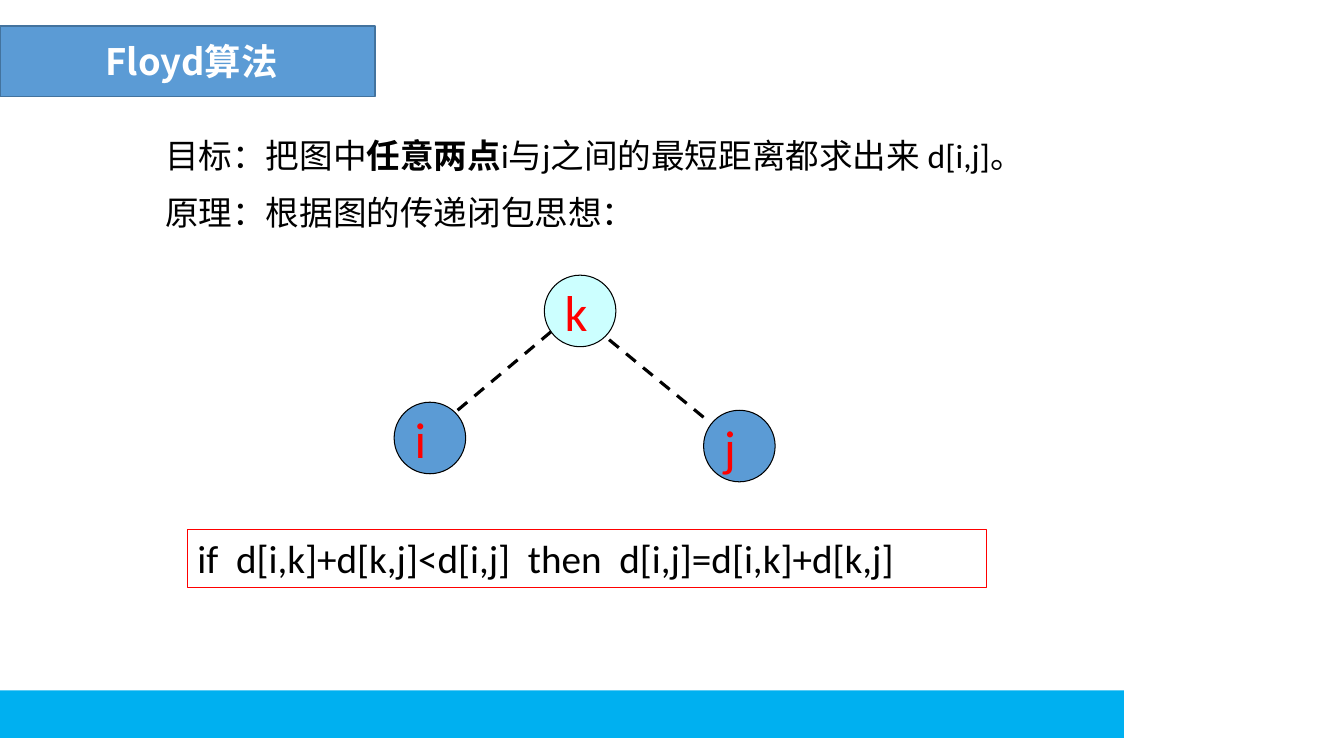
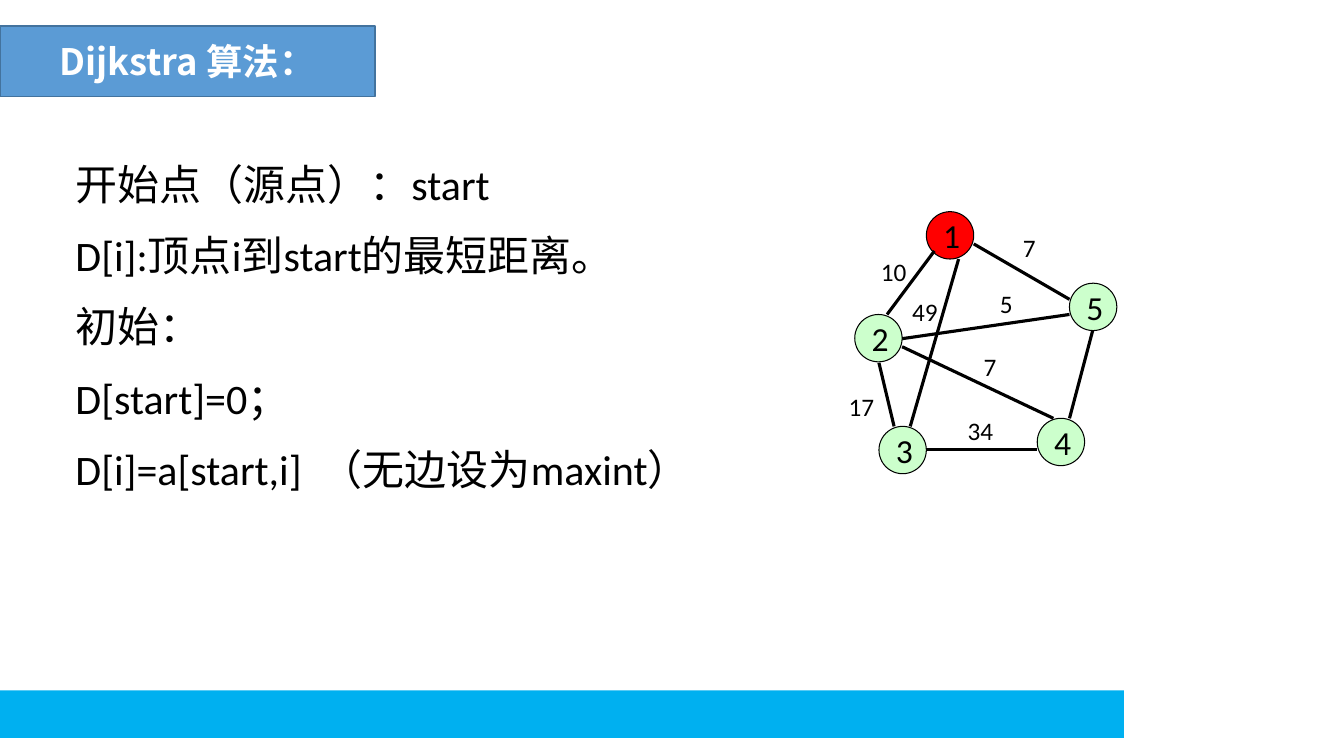
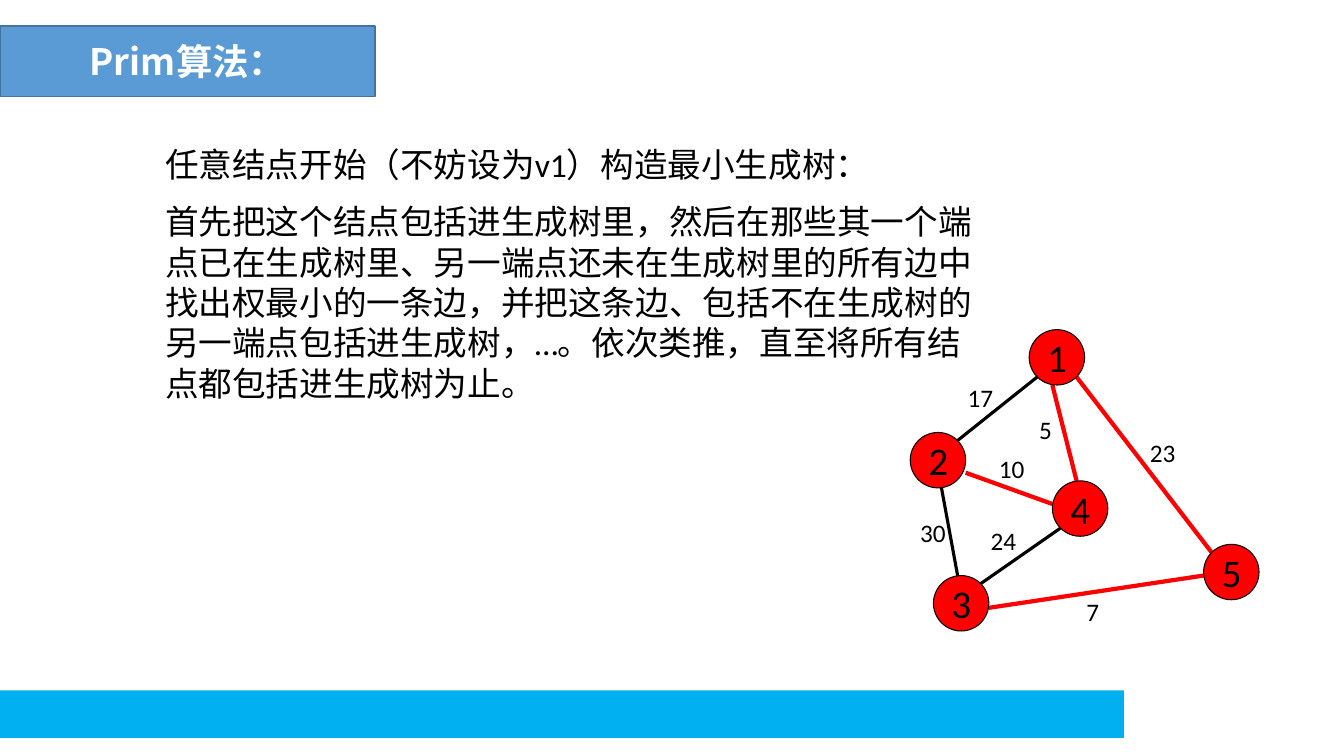
from lxml.etree import SubElement
from pptx import Presentation
from pptx.dml.color import RGBColor
from pptx.enum.dml import MSO_LINE
from pptx.enum.shapes import MSO_CONNECTOR, MSO_SHAPE
from pptx.enum.text import MSO_ANCHOR, PP_ALIGN
from pptx.oxml.ns import qn
from pptx.util import Inches, Pt

COLORS = {
    "blue": "5B9BD5", "navy": "43739E", "band": "00B0F0", "red": "FF0000",
    "black": "000000", "white": "FFFFFF", "aqua": "CCFFFF", "green": "CCFFCC",
}
BODY_FONT, TITLE_FONT = "Calibri", "Noto Sans CJK SC"


def color(name):
    return RGBColor.from_string(COLORS[name])


def cells(*counts):
    return [Inches(count / 10) for count in counts]


class Board:
    """Style and current slide, on a grid of tenth-inch columns and rows."""

    def __init__(self):
        self.deck = Presentation()
        self.deck.slide_width, self.deck.slide_height = cells(133.33, 75)
        self.page = None

    def new_page(self, title):
        self.page = self.deck.slides.add_slide(self.deck.slide_layouts[6])
        self.shape(MSO_SHAPE.RECTANGLE, (0, 68.5, 111.5, 4.7), "band")
        box = self.shape(MSO_SHAPE.RECTANGLE, (0, 2.6, 37.2, 7), "blue", "navy", 1)
        box.text_frame.vertical_anchor = MSO_ANCHOR.MIDDLE
        para = box.text_frame.paragraphs[0]
        para.alignment = PP_ALIGN.CENTER
        self.span(para, title, 26, "white", True, TITLE_FONT)

    def shape(self, kind, area, fill=None, line=None, weight=0.75):
        shape = self.page.shapes.add_shape(kind, *cells(*area))
        shape.shadow.inherit = False
        if fill:
            shape.fill.solid()
            shape.fill.fore_color.rgb = color(fill)
        else:
            shape.fill.background()
        if line:
            shape.line.color.rgb = color(line)
            shape.line.width = Pt(weight)
        else:
            shape.line.fill.background()
        return shape

    def span(self, para, text, size, ink="black", bold=False, font=BODY_FONT):
        span = para.add_run()
        span.text = text
        span.font.size = Pt(size)
        span.font.bold = bold
        span.font.color.rgb = color(ink)
        span.font.name = font
        SubElement(span.font._element, qn("a:ea"), typeface=font)

    def text(self, area, size, *lines):
        frame = self.page.shapes.add_textbox(*cells(*area)).text_frame
        frame.word_wrap = True
        for index, line in enumerate(lines):
            para = frame.add_paragraph() if index else frame.paragraphs[0]
            if index:
                para.space_before = Pt(size / 2)
            for part, text in enumerate([line] if isinstance(line, str) else line):
                self.span(para, text, size, bold=part % 2 == 1)

    def framed(self, area, text, size):
        box = self.shape(MSO_SHAPE.RECTANGLE, area, line="red")
        box.text_frame.vertical_anchor = MSO_ANCHOR.TOP
        para = box.text_frame.paragraphs[0]
        para.alignment = PP_ALIGN.LEFT
        self.span(para, text, size)

    def node(self, name, left, top, side, size, fill, ink="black"):
        circle = self.shape(MSO_SHAPE.OVAL, (left, top, side, side), fill, "black")
        frame = circle.text_frame
        frame.word_wrap = False
        frame.vertical_anchor = MSO_ANCHOR.MIDDLE
        frame.paragraphs[0].alignment = PP_ALIGN.LEFT
        self.span(frame.paragraphs[0], name, size, ink)

    def edge(self, ends, ink="black", weight=2.25, dash=None):
        edge = self.page.shapes.add_connector(MSO_CONNECTOR.STRAIGHT, *cells(*ends))
        edge.line.color.rgb = color(ink)
        edge.line.width = Pt(weight)
        if dash:
            edge.line.dash_style = dash
        SubElement(edge._element.spPr, qn("a:effectLst"))

    def label(self, text, left, top, width=5.5):
        self.text((left, top, width, 4.3), 18, text)


def floyd(board):
    board.new_page(" Floyd算法")
    board.text((15.4, 12.9, 91, 11.1), 24,
               ("目标：把图中", "任意两点", "i与j之间的最短距离都求出来 d[i,j]。"),
               "原理：根据图的传递闭包思想：")
    for name, left, top, fill in (("i", 39.1, 39.9, "blue"), ("j", 69.8, 40.7, "blue"),
                                  ("k", 54, 27.3, "aqua")):
        board.node(name, left, top, 7.1, 36, fill, "red")
    for ends in ((45.4, 40.7, 54.8, 32.8), (69.8, 41.4, 60.3, 33.6)):
        board.edge(ends, dash=MSO_LINE.DASH)
    board.framed((18.6, 52.5, 79.3, 5.8),
                 "if  d[i,k]+d[k,j]<d[i,j]  then  d[i,j]=d[i,k]+d[k,j]", 28)


def dijkstra(board):
    board.new_page("Dijkstra 算法：")
    board.text((6.5, 15.2, 66.9, 36.4), 30,
               "开始点（源点）：start", "D[i]:顶点i到start的最短距离。", "初始：",
               "D[start]=0；", "D[i]=a[start,i]  （无边设为maxint）")
    for name, left, top in (("1", 91.9, 21), ("2", 84.8, 31.2), ("5", 106.1, 28.1),
                            ("3", 87.2, 42.3), ("4", 102.9, 41.5)):
        board.node(name, left, top, 4.7, 24, "red" if name == "1" else "green")
    for ends in ((92.7, 24.9, 88, 31.2), (96.6, 24.2, 106.1, 29.7),
                 (89.5, 33.6, 106.1, 31.2), (87.2, 36, 88.7, 42.3),
                 (91.9, 44.6, 102.9, 44.6), (89.5, 34.4, 104.5, 41.5),
                 (95.1, 25.7, 90.3, 42.3), (106.1, 41.5, 108.4, 32.8)):
        board.edge(ends)
    for label in (("10", 86.4, 24.9), ("7", 100.5, 22.6), ("5", 98.2, 28.1),
                  ("7", 96.6, 34.4), ("17", 83.2, 38.3), ("34", 95, 40.7),
                  ("49", 89.5, 28.9)):
        board.label(*label)


def prim(board):
    board.new_page("Prim算法：")
    board.text((15.4, 13.8, 83.5, 27.3), 24,
               "任意结点开始（不妨设为v1）构造最小生成树：",
               "首先把这个结点包括进生成树里，然后在那些其一个端点已在生成树里、"
               "另一端点还未在生成树里的所有边中找出权最小的一条边，并把这条边、"
               "包括不在生成树的另一端点包括进生成树，…。依次类推，"
               "直至将所有结点都包括进生成树为止。")
    for ends in ((93.4, 48.4, 95, 57.1), (97.3, 57.9, 105.2, 52.4),
                 (102.9, 37.4, 95, 43.7)):
        board.edge(ends)
    for ends in ((104.4, 38.2, 106.8, 47.7), (95.8, 46.9, 104.4, 50),
                 (106.8, 37.4, 120.2, 54.8), (98.1, 60.3, 119.4, 57.1)):
        board.edge(ends, "red", 3)
    for label in (("17", 95, 37.4), ("30", 90.3, 50.8), ("10", 98.1, 44.5),
                  ("24", 97.3, 51.6, 7.1), ("7", 106.8, 58.7, 3.9),
                  ("23", 113.1, 42.9), ("5", 102.1, 40.6, 4.7)):
        board.label(*label)
    for name, left, top in (("1", 102.1, 32.7), ("2", 90.3, 42.9), ("3", 92.6, 57.1),
                            ("4", 104.4, 47.7), ("5", 119.4, 54)):
        board.node(name, left, top, 5.5, 28, "red")


def main():
    board = Board()
    for build in (floyd, dijkstra, prim):
        build(board)
    board.deck.save("out.pptx")


if __name__ == "__main__":
    main()
